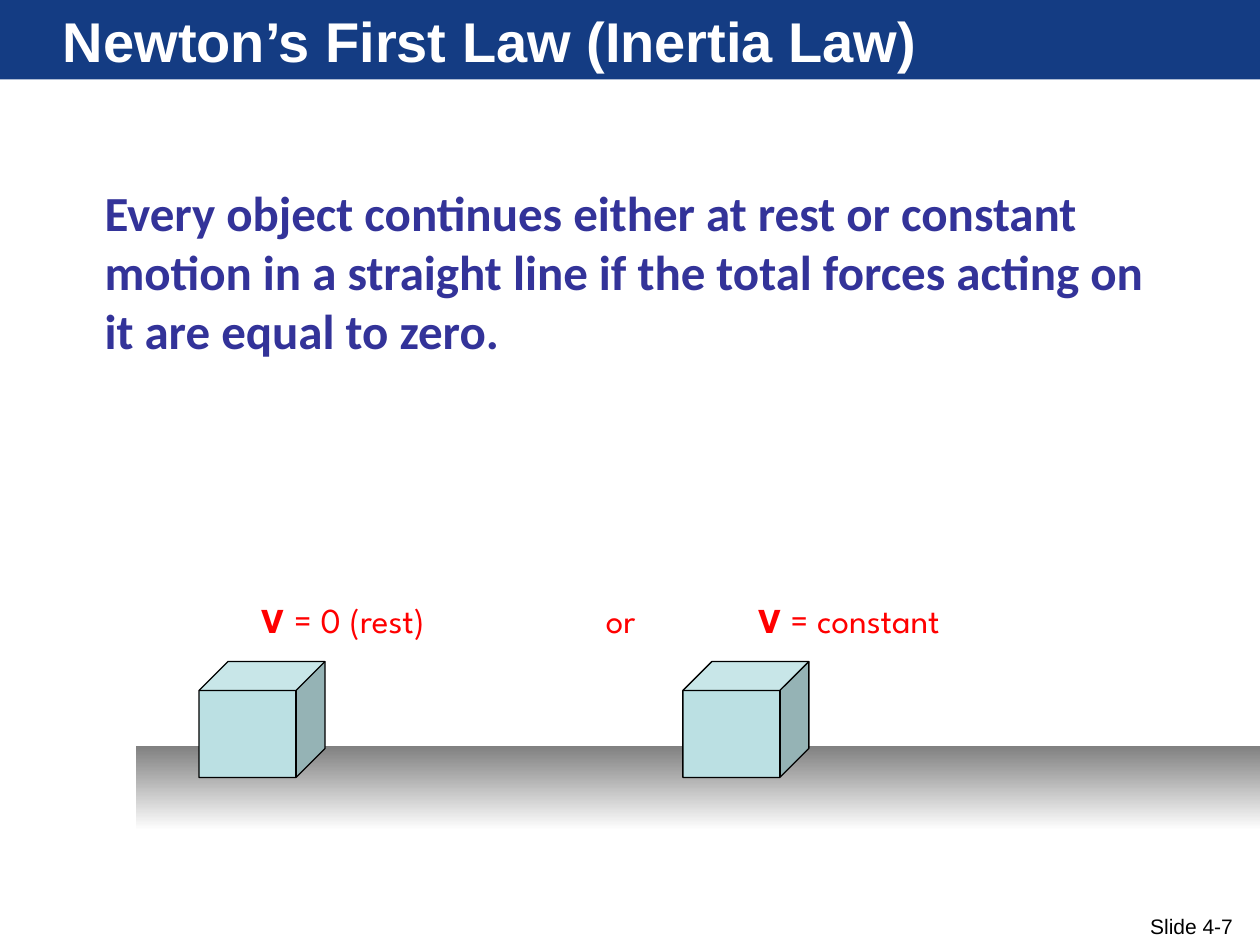
from lxml.etree import SubElement
from pptx import Presentation
from pptx.dml.color import RGBColor
from pptx.enum.shapes import MSO_SHAPE as Preset
from pptx.enum.text import MSO_ANCHOR as Anchor, PP_ALIGN as Align
from pptx.oxml.ns import qn
from pptx.util import Inches, Pt

COLORS = {
    "white": "FFFFFF",
    "black": "000000",
    "gray": "808080",
    "navy": "143C83",
    "indigo": "333399",
    "red": "FF0000",
    "cube": "BBE0E3",
}


class SlideBuilder:
    formats = {
        "title": {"name": "Arial", "size": Pt(32), "bold": True, "color": "white"},
        "law": {"name": "Calibri", "size": Pt(28), "bold": True, "color": "indigo"},
        "symbol": {"name": "League Spartan", "size": Pt(20), "bold": True, "color": "red"},
        "label": {"name": "League Spartan", "size": Pt(20), "bold": False, "color": "red"},
        "footer": {"name": "Arial", "size": Pt(12), "bold": False, "color": "black"},
    }

    def __init__(self, presentation):
        self.slide = presentation.slides.add_slide(presentation.slide_layouts[6])

    def color(self, name):
        return RGBColor.from_string(COLORS[name])

    def shape(self, preset, box, fill, line=None):
        shape = self.slide.shapes.add_shape(preset, *map(Inches, box))
        shape.shadow.inherit = False
        shape.fill.solid()
        shape.fill.fore_color.rgb = self.color(fill)
        if line:
            shape.line.color.rgb = self.color(line)
            shape.line.width = Pt(0.75)
        else:
            shape.line.fill.background()
        return shape

    def gradient(self, box, colors):
        shape = self.shape(Preset.RECTANGLE, box, colors[0])
        shape.fill.gradient()
        shape.fill.gradient_angle = 270
        for position, (stop, name) in enumerate(zip(shape.fill.gradient_stops, colors)):
            stop.color.rgb = self.color(name)
            stop.position = position

    def fill_text(self, shape, runs, insets=(0.1, 0.05, 0.1, 0.05), anchor=Anchor.TOP, wrap=True, tabs=()):
        frame = shape.text_frame
        frame.word_wrap = wrap
        frame.vertical_anchor = anchor
        for side, inset in zip(("left", "top", "right", "bottom"), insets):
            setattr(frame, f"margin_{side}", Inches(inset))
        paragraph = frame.paragraphs[0]
        paragraph.alignment = Align.LEFT
        if tabs:
            tab_list = SubElement(paragraph._p.get_or_add_pPr(), qn("a:tabLst"))
            for tab in tabs:
                SubElement(tab_list, qn("a:tab"), pos=str(Inches(tab)), algn="l")
        for text, style in runs:
            run = paragraph.add_run()
            run.text = text
            for key, value in self.formats[style].items():
                if key == "color":
                    run.font.color.rgb = self.color(value)
                else:
                    setattr(run.font, key, value)

    def text(self, box, runs, **layout):
        self.fill_text(self.slide.shapes.add_textbox(*map(Inches, box)), runs, **layout)


def main():
    presentation = Presentation()
    presentation.slide_width, presentation.slide_height = Inches(10), Inches(7.5)
    builder = SlideBuilder(presentation)

    builder.text((9.03, 7.2, 0.97, 0.3), [("Slide 4-7", "footer")], wrap=False)
    builder.gradient((1.08, 5.92, 8.92, 0.67), ("gray", "white"))

    title = builder.shape(Preset.RECTANGLE, (0, 0, 10, 0.63), "navy")
    builder.fill_text(title, [("Newton’s First Law (Inertia Law)", "title")], insets=(0.5, 0.05, 0.1, 0.05))

    law = (
        "Every object continues either at rest or constant motion in a straight line "
        "if the total forces acting on it are equal to zero."
    )
    builder.text((0.75, 1.4, 8.5, 1.5), [(law, "law")], insets=(0.08, 0.05, 0.08, 0.05), anchor=Anchor.MIDDLE)

    for left in (1.58, 5.42):
        builder.shape(Preset.CUBE, (left, 5.25, 1, 0.92), "cube", line="black")

    velocities = [
        ("V", "symbol"),
        (" = 0 (rest)\tor\t", "label"),
        ("V", "symbol"),
        (" = constant", "label"),
    ]
    builder.text((1.98, 4.7, 6.11, 0.44), velocities, tabs=(2.73, 3.94))

    presentation.save("out.pptx")


if __name__ == "__main__":
    main()
